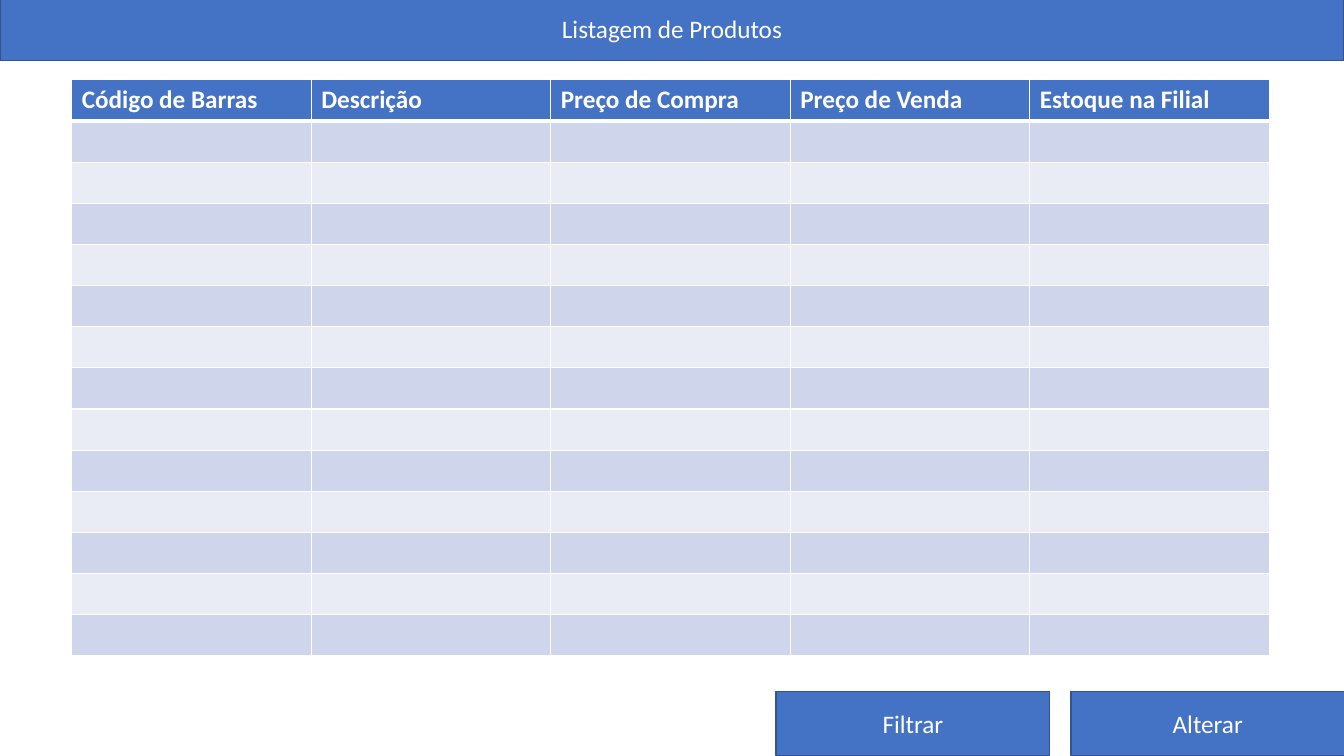
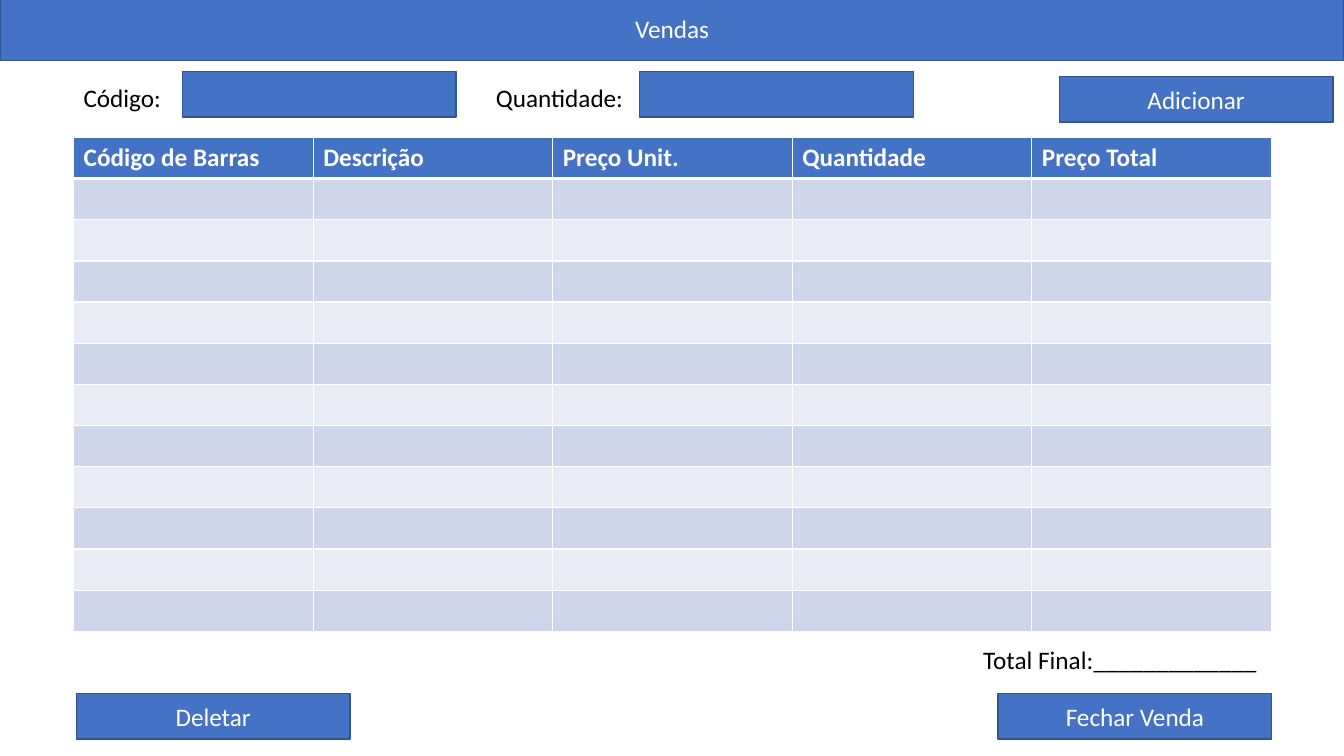
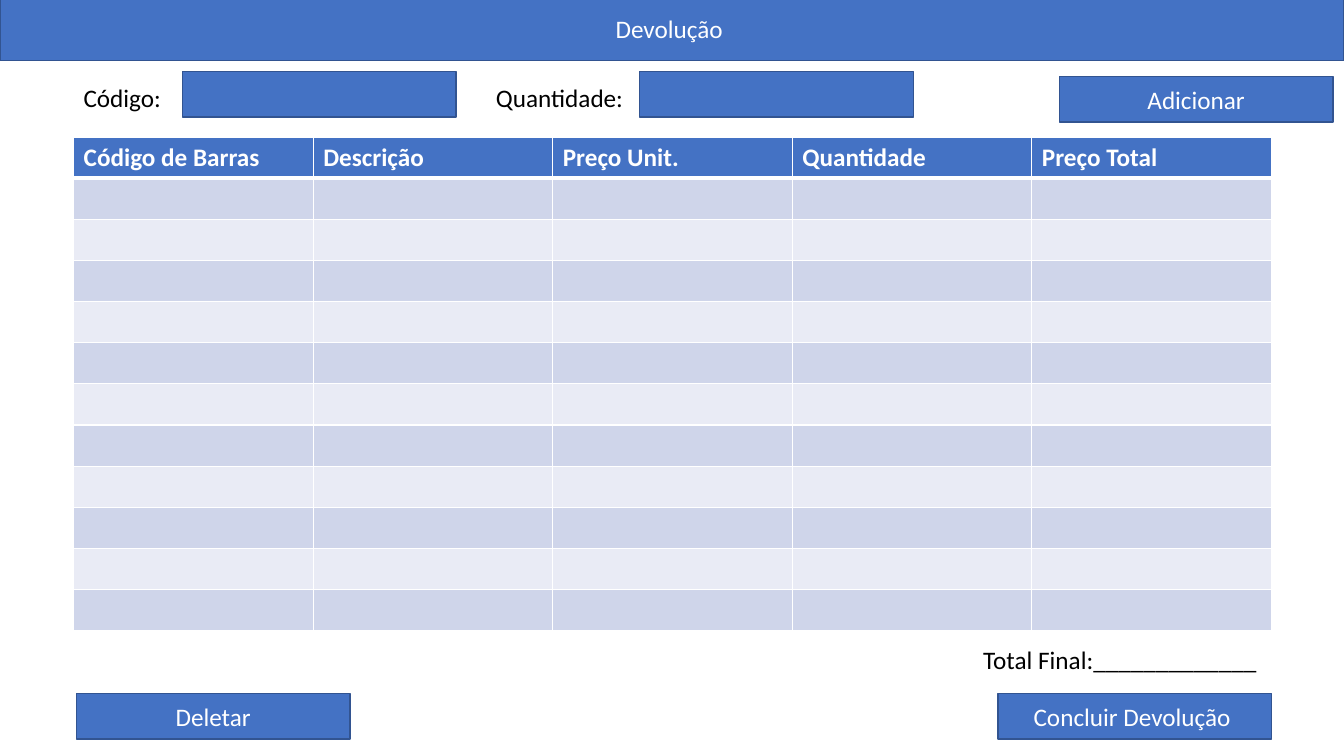
"""Build three screen mock-ups of a shop system: product list, sales and returns."""
import pptx
import pptx.dml.color
import pptx.enum.shapes
import pptx.enum.text
import pptx.util
from lxml import etree
from pptx.oxml.ns import qn

Pt = pptx.util.Pt
RGBColor = pptx.dml.color.RGBColor
PP_ALIGN = pptx.enum.text.PP_ALIGN
MSO_ANCHOR = pptx.enum.text.MSO_ANCHOR

BLUE = RGBColor(0x44, 0x72, 0xC4)
OUTLINE = RGBColor(0x32, 0x54, 0x91)
BAND_DARK = RGBColor(0xCF, 0xD5, 0xEA)
BAND_LIGHT = RGBColor(0xE9, 0xEB, 0xF5)
WHITE = RGBColor(0xFF, 0xFF, 0xFF)
BLACK = RGBColor(0, 0, 0)
FONT, FONT_SIZE = "Calibri", 18

SLIDE_W, SLIDE_H = 960, 540
TITLE_TOP, TITLE_H = -2.8, 46
BUTTON_W, BUTTON_H, TALL_BUTTON_H = 195.4, 32.7, 46
COLUMN_W, ROW_H, LABEL_H = 171.1, 29.4, 29.1

PRODUCTS = {
    "title": "Listagem de Produtos",
    "columns": ["Código de Barras", "Descrição", "Preço de Compra",
                "Preço de Venda", "Estoque na Filial"],
    "table_at": (51.2, 57),
    "header_h": ROW_H,
    "body_rows": 13,
    "labels": [],
    "buttons": [("Alterar", 765, 493.8, TALL_BUTTON_H),
                ("Filtrar", 554.4, 493.8, TALL_BUTTON_H)],
}


def checkout(title, closing):
    """Describe a screen that adds items to a list and closes it."""
    return {
        "title": title,
        "columns": ["Código de Barras", "Descrição", "Preço Unit.",
                    "Quantidade", "Preço Total"],
        "table_at": (52.6, 98.4),
        "header_h": 28.4,
        "body_rows": 11,
        "labels": [("Código:", 52.6, 54.9, 77.6),
                   ("Quantidade:", 347.2, 54.9, 115),
                   ("Total Final:_____________", 695.2, 456.6, 212.4)],
        "buttons": [("", 130.3, 51, BUTTON_H),
                    ("", 457, 51, BUTTON_H),
                    ("Adicionar", 756.7, 54.6, BUTTON_H),
                    ("Deletar", 54.6, 495.3, BUTTON_H),
                    (closing, 713, 495.3, BUTTON_H)],
    }


SCREENS = [
    PRODUCTS,
    checkout("Vendas", "Fechar Venda"),
    checkout("Devolução ", "Concluir Devolução "),
]


def write(frame, text, color, bold=False, align=PP_ALIGN.LEFT):
    """Put one styled paragraph into a text frame."""
    paragraph = frame.paragraphs[0]
    paragraph.text = text
    paragraph.alignment = align
    font = paragraph.font
    font.name, font.size, font.bold = FONT, Pt(FONT_SIZE), bold
    font.color.rgb = color


def add_box(slide, text, left, top, width, height):
    """Add a blue outlined rectangle, with centred text if there is any."""
    box = slide.shapes.add_shape(pptx.enum.shapes.MSO_SHAPE.RECTANGLE,
                                 Pt(left), Pt(top), Pt(width), Pt(height))
    box.shadow.inherit = False
    box.fill.solid()
    box.fill.fore_color.rgb = BLUE
    box.line.color.rgb = OUTLINE
    box.line.width = Pt(1)
    if text:
        box.text_frame.vertical_anchor = MSO_ANCHOR.MIDDLE
        write(box.text_frame, text, WHITE, align=PP_ALIGN.CENTER)


def add_label(slide, text, left, top, width):
    """Add a line of plain text."""
    label = slide.shapes.add_textbox(Pt(left), Pt(top), Pt(width), Pt(LABEL_H))
    label.text_frame.word_wrap = True
    write(label.text_frame, text, BLACK)


def set_borders(cell, widths):
    """Draw white cell borders of the given widths, keyed by side."""
    properties = cell._tc.get_or_add_tcPr()
    for index, (side, width) in enumerate(widths.items()):
        border = etree.Element(qn(f"a:ln{side}"), w=str(Pt(width)))
        fill = etree.SubElement(border, qn("a:solidFill"))
        etree.SubElement(fill, qn("a:srgbClr"), val=str(WHITE))
        properties.insert(index, border)


def add_listing(slide, columns, table_at, header_h, body_rows):
    """Add a banded table with headings and empty rows."""
    left, top = table_at
    listing = slide.shapes.add_table(
        body_rows + 1, len(columns), Pt(left), Pt(top),
        Pt(COLUMN_W * len(columns)), Pt(header_h + ROW_H * body_rows)).table
    for column in listing.columns:
        column.width = Pt(COLUMN_W)
    for index, row in enumerate(listing.rows):
        is_header = index == 0
        row.height = Pt(header_h if is_header else ROW_H)
        band = BAND_DARK if index % 2 else BAND_LIGHT
        for heading, cell in zip(columns, row.cells):
            cell.fill.solid()
            cell.fill.fore_color.rgb = BLUE if is_header else band
            if is_header:
                write(cell.text_frame, heading, WHITE, bold=True)
                set_borders(cell, {"L": 1, "R": 1, "T": 1, "B": 3})
            else:
                set_borders(cell, {"L": 1, "R": 1, "B": 1})


def main():
    """Build and save the deck."""
    deck = pptx.Presentation()
    deck.slide_width, deck.slide_height = Pt(SLIDE_W), Pt(SLIDE_H)
    for screen in SCREENS:
        slide = deck.slides.add_slide(deck.slide_layouts[6])
        add_box(slide, screen["title"], 0, TITLE_TOP, SLIDE_W, TITLE_H)
        add_listing(slide, screen["columns"], screen["table_at"],
                    screen["header_h"], screen["body_rows"])
        for text, left, top, height in screen["buttons"]:
            add_box(slide, text, left, top, BUTTON_W, height)
        for label in screen["labels"]:
            add_label(slide, *label)
    deck.save("out.pptx")


if __name__ == "__main__":
    main()
